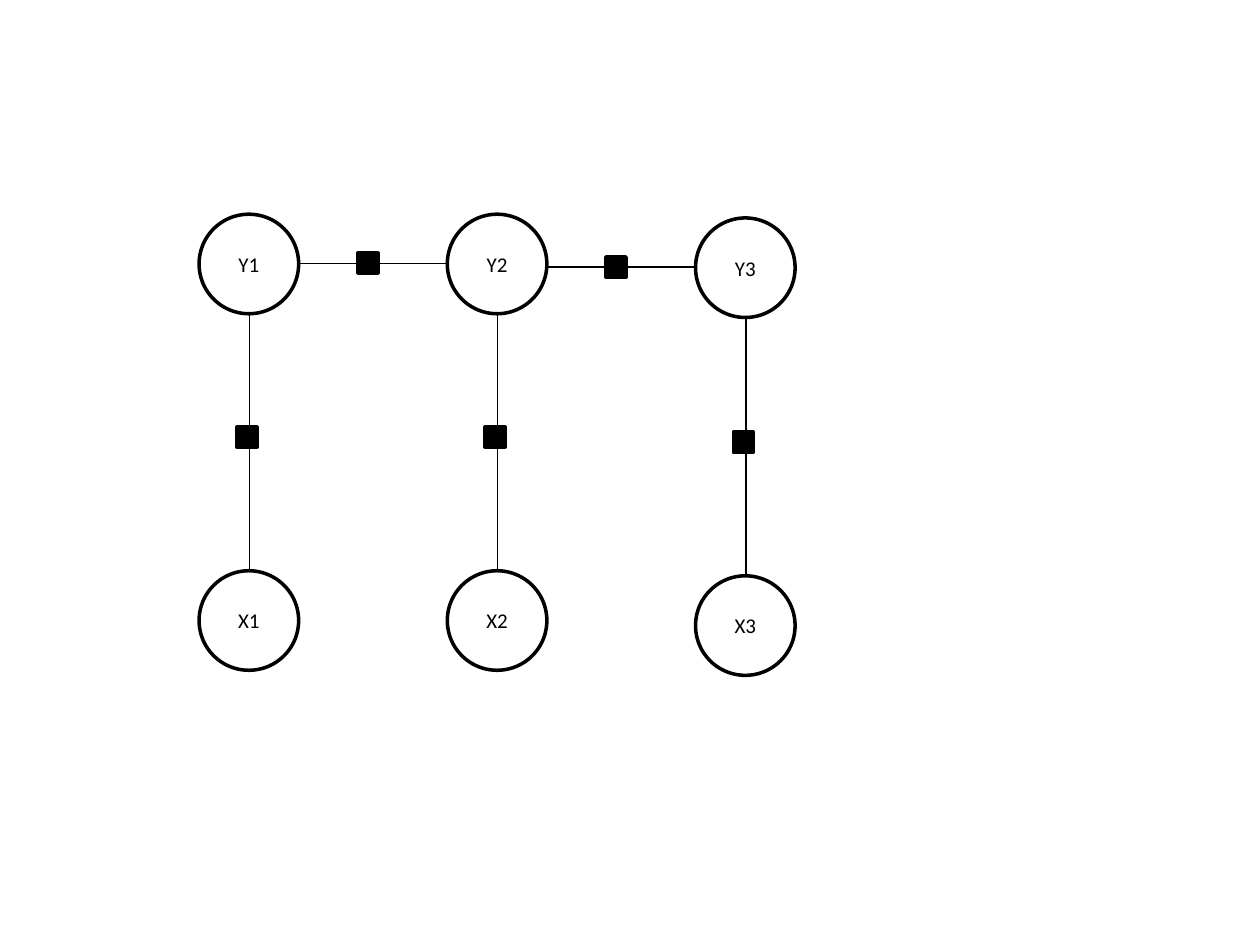
"""Draw a chain of Y nodes, each tied to its X node through a square factor."""
from lxml.etree import SubElement
from pptx import Presentation
from pptx.dml.color import RGBColor
from pptx.enum.shapes import MSO_CONNECTOR, MSO_SHAPE
from pptx.enum.text import MSO_ANCHOR, PP_ALIGN
from pptx.oxml.ns import qn
from pptx.util import Inches, Pt

THEME = {
    "ink": RGBColor(0, 0, 0),
    "paper": RGBColor(255, 255, 255),
    "edge": Pt(2),
    "thin": Pt(0.75),
    "font": {"name": "Calibri", "size": Pt(12), "color": RGBColor(0, 0, 0)},
}
NODE, BOX = 0.79, 0.16
LEFT, STEP = 1.58, 1.97
TOPS = [1.7, 1.7, 1.73]
LOWS = [4.53, 4.53, 4.57]

deck = Presentation()
deck.slide_width, deck.slide_height = Inches(10), Inches(7.5)
slide = deck.slides.add_slide(deck.slide_layouts[6])


def add_mark(kind, left, top, side, fill, label=""):
    """Add a circle or square, with a label if one is given."""
    mark = slide.shapes.add_shape(kind, *map(Inches, (left, top, side, side)))
    mark.shadow.inherit = False
    mark.fill.solid()
    mark.fill.fore_color.rgb = fill
    mark.line.color.rgb = THEME["ink"]
    mark.line.width = THEME["edge"]
    if label:
        frame = mark.text_frame
        frame.vertical_anchor = MSO_ANCHOR.MIDDLE
        para = frame.paragraphs[0]
        para.alignment = PP_ALIGN.CENTER
        run = para.add_run()
        run.text = label
        for key, value in THEME["font"].items():
            if key == "color":
                run.font.color.rgb = value
            else:
                setattr(run.font, key, value)


def add_link(left, top, right, low, box):
    """Add a square factor and the thin line that runs through it."""
    add_mark(MSO_SHAPE.RECTANGLE, *box, BOX, THEME["ink"])
    ends = map(Inches, (left, top, right, low))
    link = slide.shapes.add_connector(MSO_CONNECTOR.STRAIGHT, *ends)
    link.line.color.rgb = THEME["ink"]
    link.line.width = THEME["thin"]
    SubElement(link._element.spPr, qn("a:effectLst"))


for col, (top, low) in enumerate(zip(TOPS, LOWS)):
    left = LEFT + col * STEP
    for name, y in (("Y", top), ("X", low)):
        add_mark(MSO_SHAPE.OVAL, left, y, NODE, THEME["paper"], f"{name}{col + 1}")
    mid = left + 0.4
    add_link(mid, top + NODE, mid, low, (left + 0.3, low - 1.14))

for col, y in enumerate([2.09, 2.12]):
    left = LEFT + col * STEP
    box = (left + 1.26, y - BOX / 2)
    add_link(left + NODE, y, left + STEP, y, box)

deck.save("out.pptx")
